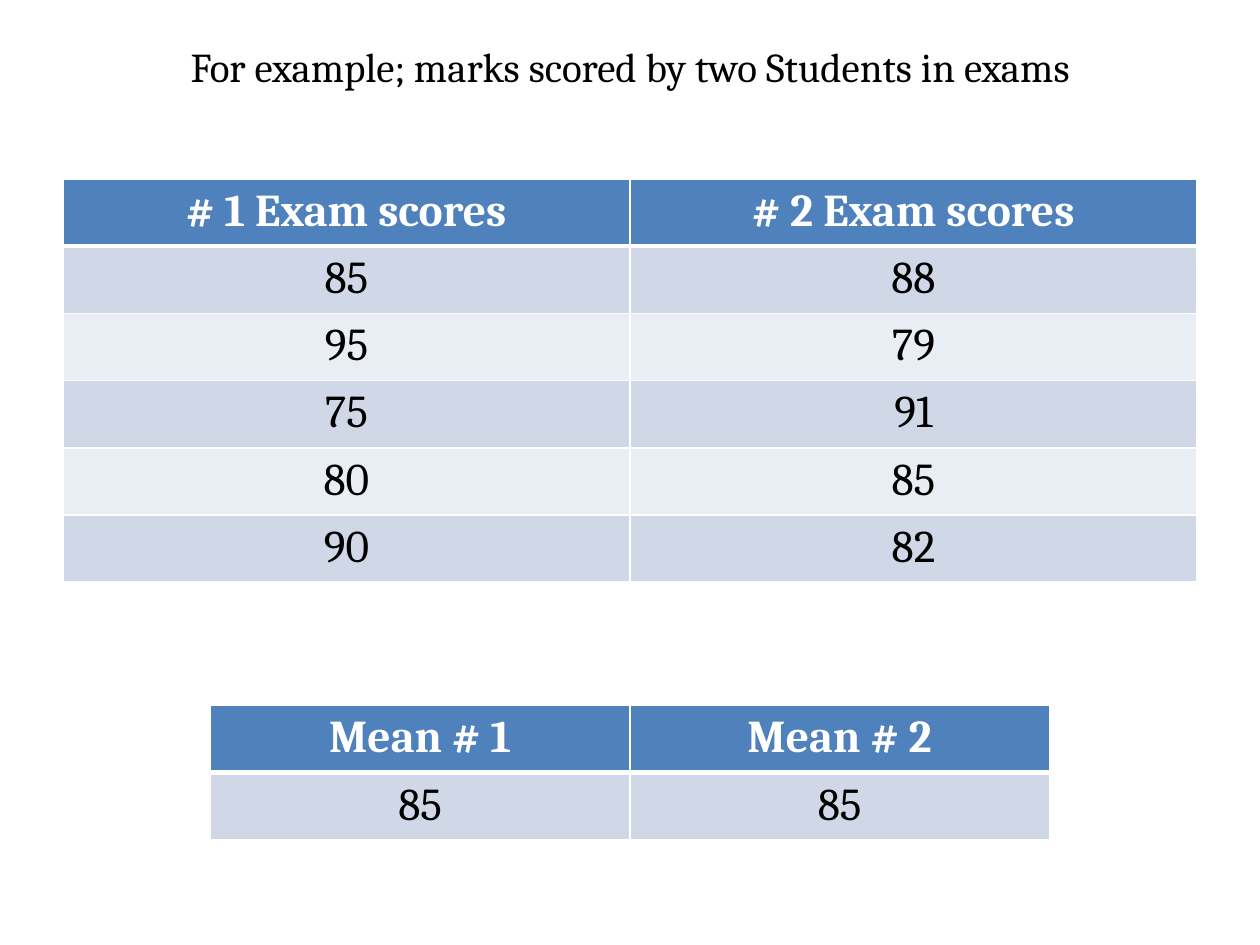
"""Build a slide comparing the exam scores of two students and their means."""
from lxml import etree
from pptx import Presentation
from pptx.dml.color import RGBColor
from pptx.enum.text import MSO_ANCHOR, PP_ALIGN
from pptx.oxml.ns import qn
from pptx.util import Inches, Pt

CENTER = PP_ALIGN.CENTER
MIDDLE = MSO_ANCHOR.MIDDLE

TITLE = "For example; marks scored by two Students in exams"
TABLES = [
    {
        "left": 0.5, "top": 1.42, "width": 9,
        "rows": [
            ("# 1 Exam scores", "# 2 Exam scores"),
            ("85", "88"),
            ("95", "79"),
            ("75", "91"),
            ("80", "85"),
            ("90", "82"),
        ],
    },
    {
        "left": 1.67, "top": 5.6, "width": 6.66,
        "rows": [("Mean # 1", "Mean # 2"), ("85", "85")],
    },
]
COLORS = {
    "text": "000000",
    "white": "FFFFFF",
    "header": "4F81BD",
    "odd": "D0D8E8",
    "even": "E9EDF4",
}
ROW_HEIGHT = 0.51


def write(frame, text, size, color, bold=False):
    paragraph = frame.paragraphs[0]
    paragraph.alignment = CENTER
    run = paragraph.add_run()
    run.text = text
    values = {"name": "Cambria", "size": Pt(size), "bold": bold}
    for name, value in values.items():
        setattr(run.font, name, value)
    run.font.color.rgb = RGBColor.from_string(COLORS[color])


def add_borders(cell, widths):
    properties = cell._tc.get_or_add_tcPr()
    for index, (side, width) in enumerate(widths.items()):
        line = etree.Element(qn(f"a:ln{side}"), w=str(Pt(width)))
        fill = etree.SubElement(line, qn("a:solidFill"))
        etree.SubElement(fill, qn("a:srgbClr"), val=COLORS["white"])
        properties.insert(index, line)


def add_score_table(slide, left, top, width, rows):
    columns = len(rows[0])
    frame = slide.shapes.add_table(
        len(rows), columns, Inches(left), Inches(top),
        Inches(width), Inches(ROW_HEIGHT * len(rows)))
    for row, values in enumerate(rows):
        header = row == 0
        fill = "header" if header else "odd" if row % 2 else "even"
        widths = {"L": 1, "R": 1, "T": 3 if row == 1 else 1, "B": 3 if header else 1}
        for column, value in enumerate(values):
            cell = frame.table.cell(row, column)
            cell.fill.solid()
            cell.fill.fore_color.rgb = RGBColor.from_string(COLORS[fill])
            add_borders(cell, widths)
            write(cell.text_frame, value, 26, "white" if header else "text", header)


presentation = Presentation()
presentation.slide_width = Inches(10)
presentation.slide_height = Inches(7.5)
slide = presentation.slides.add_slide(presentation.slide_layouts[6])

title = slide.shapes.add_textbox(Inches(0.5), Inches(0.3), Inches(9), Inches(0.45))
title.text_frame.word_wrap = True
title.text_frame.vertical_anchor = MIDDLE
write(title.text_frame, TITLE, 23.4, "text")

for table in TABLES:
    add_score_table(slide, **table)

presentation.save("out.pptx")
